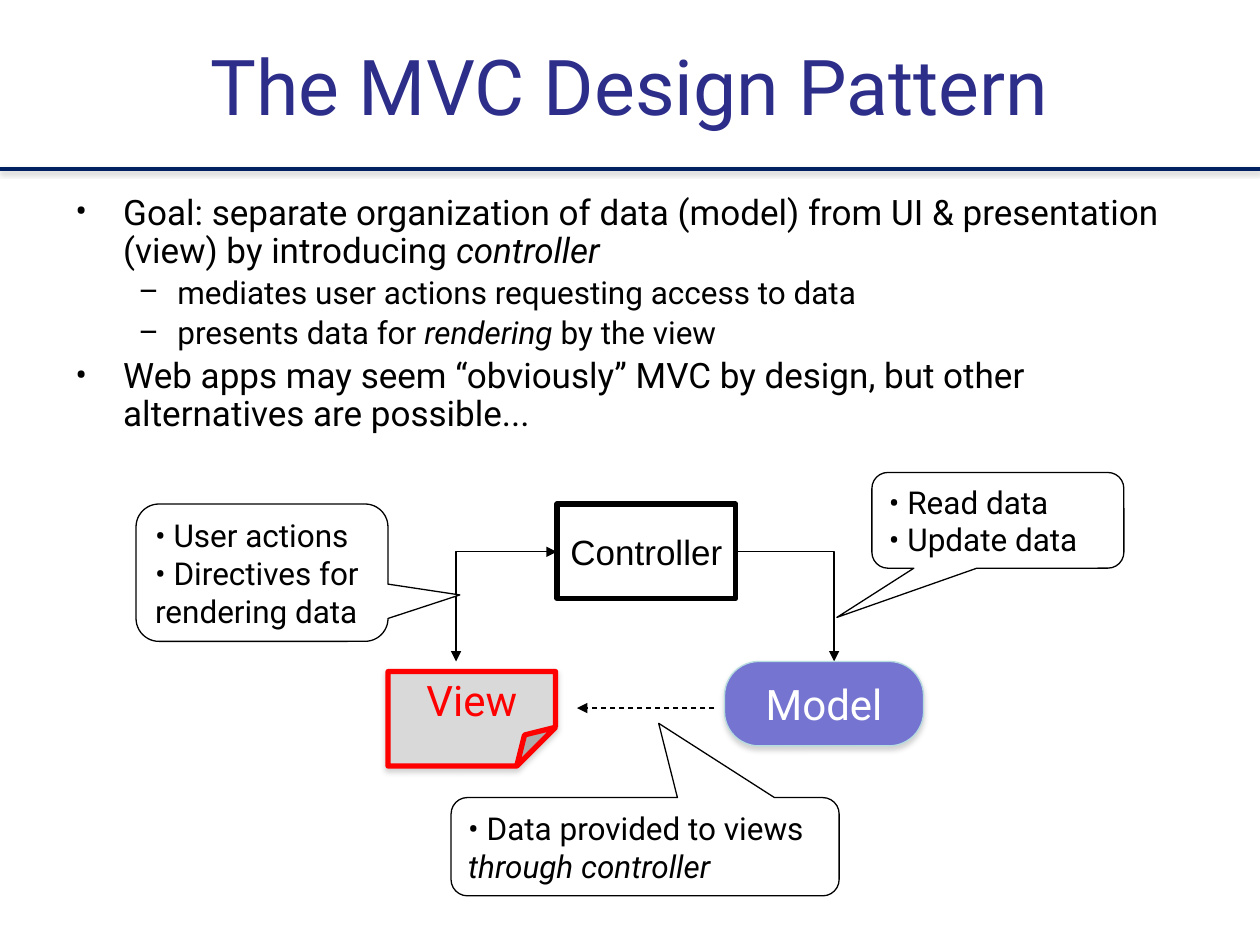
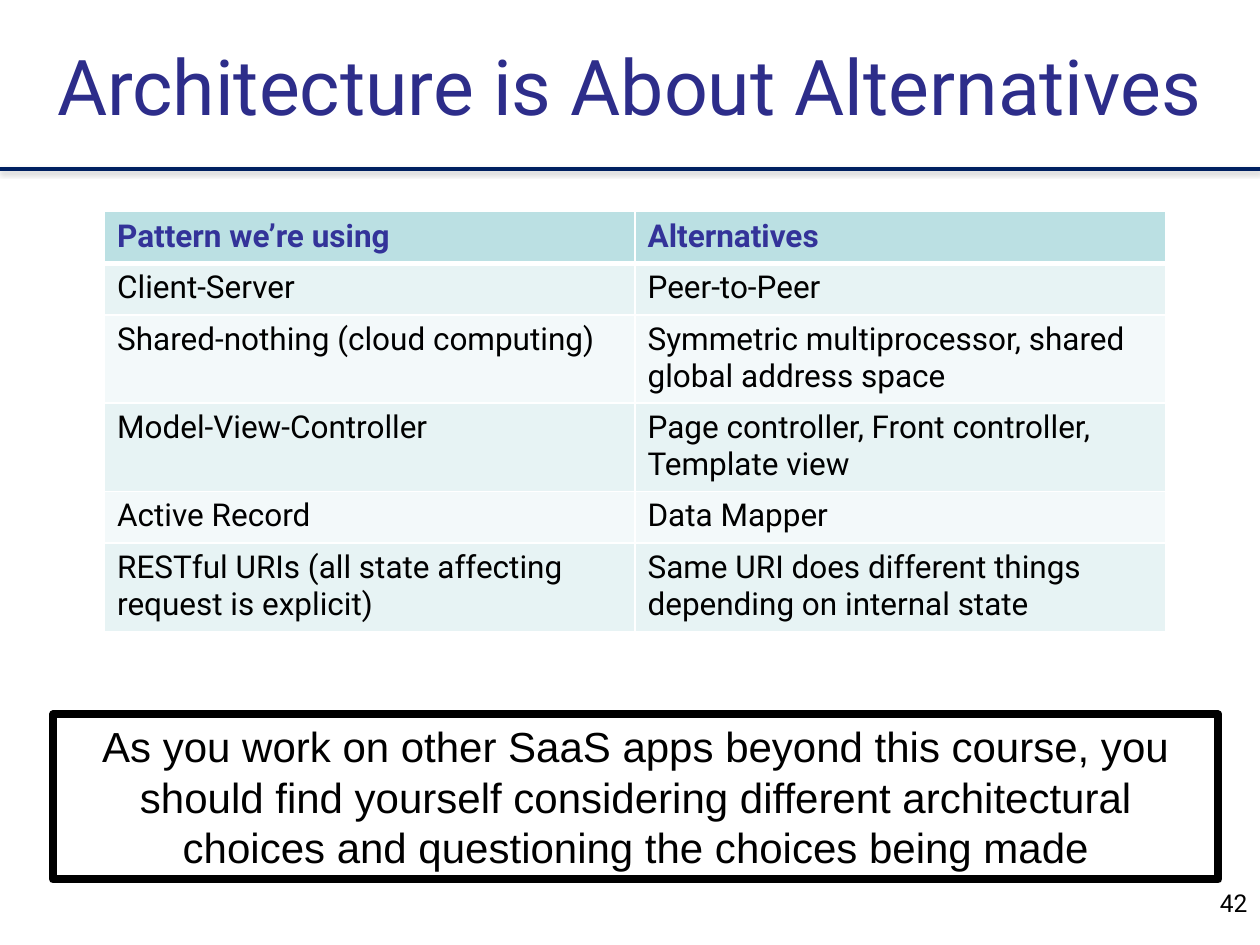
from dataclasses import dataclass

from pptx import Presentation
from pptx.dml.color import RGBColor
from pptx.enum.dml import MSO_LINE
from pptx.enum.shapes import MSO_CONNECTOR, MSO_SHAPE
from pptx.enum.text import MSO_ANCHOR, PP_ALIGN
from pptx.oxml.ns import qn
from pptx.util import Inches, Pt
from lxml import etree

LEFT, CENTER, RIGHT = PP_ALIGN.LEFT, PP_ALIGN.CENTER, PP_ALIGN.RIGHT
TOP, MIDDLE = MSO_ANCHOR.TOP, MSO_ANCHOR.MIDDLE
STRAIGHT, ELBOW = MSO_CONNECTOR.STRAIGHT, MSO_CONNECTOR.ELBOW
RECT, ROUNDED = MSO_SHAPE.RECTANGLE, MSO_SHAPE.ROUNDED_RECTANGLE
FOLDED, CALLOUT = MSO_SHAPE.FOLDED_CORNER, MSO_SHAPE.ROUNDED_RECTANGULAR_CALLOUT
DASH = MSO_LINE.DASH


@dataclass(frozen=True)
class Theme:
    font: str = "Roboto"
    box_font: str = "Arial"
    # Colours
    title: str = "2D2D8A"
    rule: str = "002061"
    black: str = "000000"
    white: str = "FFFFFF"
    red: str = "FF0000"
    note: str = "D9D9D9"
    model: str = "7575D1"
    model_edge: str = "B6DCDF"
    shadow: str = "808080"
    header_text: str = "333399"
    header_fill: str = "BBE0E3"
    bands: tuple = ("E7F3F4", "F3F9FA")
    # Type sizes
    title_size: int = 44
    large: int = 24
    medium: int = 20
    small: int = 18
    number: int = 14


def rgb(color):
    return RGBColor.from_string(color)


def add_xml(parent, tag, **attrs):
    child = etree.SubElement(parent, qn(tag))
    for name, value in attrs.items():
        child.set(name, str(value))
    return child


class Deck:
    def __init__(self, prs, theme):
        self.prs, self.theme = prs, theme
        self.slide = None

    # Slide with the shared title and rule
    def new_slide(self, title):
        t = self.theme
        self.slide = self.prs.slides.add_slide(self.prs.slide_layouts[6])
        self.line((0, 1.34), (10, 1.34), t.rule, 2, shadow=38)
        self.text((0, 0, 10, 1.34), [title], t.title_size, t.title,
                  align=CENTER, anchor=MIDDLE)

    # Text: a paragraph is a string or a list of runs; "*" starts an italic run
    def fill_paragraph(self, p, runs, size, color, align=LEFT, font=None, bold=False):
        p.alignment = align
        for text in [runs] if isinstance(runs, str) else runs:
            r = p.add_run()
            r.text = text.removeprefix("*")
            r.font.name = font or self.theme.font
            r.font.size = Pt(size)
            r.font.bold = bold
            r.font.italic = text.startswith("*")
            r.font.color.rgb = rgb(color)

    def fill_frame(self, tf, paragraphs, size, color, align=LEFT, anchor=TOP,
                   font=None, wrap=True):
        tf.word_wrap = wrap
        tf.vertical_anchor = anchor
        for i, runs in enumerate(paragraphs):
            p = tf.add_paragraph() if i else tf.paragraphs[0]
            self.fill_paragraph(p, runs, size, color, align, font)

    def text(self, box, paragraphs, size, color, **style):
        sp = self.slide.shapes.add_textbox(*map(Inches, box))
        self.fill_frame(sp.text_frame, paragraphs, size, color, **style)

    def bullets(self, box, items):
        t = self.theme
        levels = ((t.medium, 0.38, 0.38, "•"), (t.small, 0.81, 0.31, "–"))
        tf = self.slide.shapes.add_textbox(*map(Inches, box)).text_frame
        tf.word_wrap = True
        for i, (level, runs) in enumerate(items):
            size, margin, hang, mark = levels[level]
            p = tf.add_paragraph() if i else tf.paragraphs[0]
            p.level = level
            p.line_spacing = 0.9
            p.space_before = Pt(size * 0.2)
            self.fill_paragraph(p, runs, size, t.black)
            pPr = p._p.get_or_add_pPr()
            pPr.set("marL", str(Inches(margin)))
            pPr.set("indent", str(-Inches(hang)))
            add_xml(pPr, "a:buFont", typeface=t.font)
            add_xml(pPr, "a:buChar", char=mark)

    # Shapes and lines
    def effects(self, spPr, opacity, distance=1.8):
        effects = spPr.find(qn("a:effectLst"))
        if effects is None:
            effects = add_xml(spPr, "a:effectLst")
        if opacity:
            shadow = add_xml(effects, "a:outerShdw", blurRad=Pt(3.1),
                             dist=Pt(distance), dir=5400000, rotWithShape=0)
            color = add_xml(shadow, "a:srgbClr", val=self.theme.shadow)
            add_xml(color, "a:alpha", val=opacity * 1000)

    def adjust(self, spPr, values):
        avLst = spPr.find(qn("a:prstGeom")).get_or_add_avLst()
        for guide in list(avLst):
            avLst.remove(guide)
        for i, value in enumerate(values, 1):
            add_xml(avLst, "a:gd", name=f"adj{i}" if len(values) > 1 else "adj",
                    fmla=f"val {round(value * 100000)}")

    def shape(self, kind, box, paragraphs, size, color, line, width, fill=None,
              adj=(), shadow=0, **style):
        sp = self.slide.shapes.add_shape(kind, *map(Inches, box))
        spPr = sp._element.spPr
        self.adjust(spPr, adj)
        if fill:
            sp.fill.solid()
            sp.fill.fore_color.rgb = rgb(fill)
        else:
            sp.fill.background()
        sp.line.color.rgb = rgb(line)
        sp.line.width = Pt(width)
        sp.shadow.inherit = False
        self.effects(spPr, shadow)
        self.fill_frame(sp.text_frame, paragraphs, size, color, **style)

    def callout(self, box, pointer, paragraphs):
        t = self.theme
        self.shape(CALLOUT, box, paragraphs, t.small, t.black, t.black, 0.75,
                   fill=t.white, adj=(*pointer, 0.167), anchor=MIDDLE)

    def line(self, start, end, color, width, kind=STRAIGHT, dash=None, arrows=(),
             shadow=0):
        cxn = self.slide.shapes.add_connector(kind, *map(Inches, (*start, *end)))
        cxn.line.color.rgb = rgb(color)
        cxn.line.width = Pt(width)
        if dash:
            cxn.line.dash_style = dash
        spPr = cxn._element.spPr
        if kind == ELBOW:  # one corner: across, then down
            spPr.find(qn("a:prstGeom")).set("prst", "bentConnector2")
        for tag in arrows:
            add_xml(spPr.find(qn("a:ln")), tag, type="triangle")
        self.effects(spPr, shadow, 1.6)

    def arrow(self, start, end, both=False, **style):
        ends = ("a:headEnd", "a:tailEnd") if both else ("a:tailEnd",)
        self.line(start, end, self.theme.black, 0.75, arrows=ends, **style)

    # Table with a header row, bands and white rules
    def table(self, left, top, col_width, heights, rows):
        t = self.theme
        frame = self.slide.shapes.add_table(
            len(rows), len(rows[0]), Inches(left), Inches(top),
            Inches(col_width * len(rows[0])), Inches(sum(heights)))
        table = frame.table
        for col in table.columns:
            col.width = Inches(col_width)
        for i, (row, height) in enumerate(zip(rows, heights)):
            table.rows[i].height = Inches(height)
            header = i == 0
            for j, text in enumerate(row):
                cell = table.cell(i, j)
                self.borders(cell, top=3 if i == 1 else 1, bottom=3 if header else 1)
                cell.fill.solid()
                cell.fill.fore_color.rgb = rgb(
                    t.header_fill if header else t.bands[(i - 1) % 2])
                self.fill_paragraph(cell.text_frame.paragraphs[0], text, t.small,
                                    t.header_text if header else t.black, bold=header)

    def borders(self, cell, top, bottom):
        tcPr = cell._tc.get_or_add_tcPr()
        for side, width in (("L", 1), ("R", 1), ("T", top), ("B", bottom)):
            ln = add_xml(tcPr, f"a:ln{side}", w=Pt(width))
            add_xml(add_xml(ln, "a:solidFill"), "a:srgbClr", val=self.theme.white)


def mvc_slide(deck):
    t = deck.theme
    deck.new_slide("The MVC Design Pattern")
    deck.bullets((0.5, 1.5, 9, 2.5), [
        (0, ["Goal: separate organization of data (model) from UI & presentation "
             "(view) by introducing ", "*controller"]),
        (1, "mediates user actions requesting access to data"),
        (1, ["presents data for ", "*rendering", " by the view"]),
        (0, "Web apps may seem “obviously” MVC by design, but other alternatives "
            "are possible..."),
    ])

    # Controller and its links
    deck.shape(RECT, (4.42, 4, 1.42, 0.75), ["Controller"], t.medium, t.black,
               t.black, 3, align=CENTER, anchor=MIDDLE, font=t.box_font, wrap=False)
    deck.arrow((4.42, 4.38), (3.62, 5.25), both=True, kind=ELBOW)
    deck.arrow((5.83, 4.38), (6.62, 5.25), kind=ELBOW)
    deck.arrow((5.67, 5.62), (4.58, 5.62), dash=DASH)

    # Callouts
    deck.callout((1.08, 4, 2, 1.09), (0.785, 0.162),
                 ["• User actions", "• Directives for rendering data"])
    deck.callout((6.92, 3.75, 2, 0.76), (-0.639, 1.014),
                 ["• Read data", "• Update data"])
    deck.callout((3.58, 6.33, 3.08, 0.78), (0.035, -1.256),
                 [["• Data provided to views ", "*through controller"]])

    # Model and view
    deck.shape(ROUNDED, (5.75, 5.25, 1.58, 0.67), ["Model"], t.large, t.white,
               t.model_edge, 0.75, fill=t.model, adj=(0.406,), shadow=35,
               align=CENTER, anchor=MIDDLE)
    deck.shape(FOLDED, (3.08, 5.33, 1.33, 0.75), ["View"], t.large, t.red,
               t.red, 3, fill=t.note, adj=(0.411,), shadow=35,
               align=CENTER, anchor=MIDDLE)


def alternatives_slide(deck):
    t = deck.theme
    deck.new_slide("Architecture is About Alternatives")
    one, two = 0.41, 0.7  # heights of one-line and two-line rows
    deck.table(0.83, 1.68, 4.21, (one, one, two, two, one, two), [
        ("Pattern we’re using", "Alternatives"),
        ("Client-Server", "Peer-to-Peer"),
        ("Shared-nothing (cloud computing)",
         "Symmetric multiprocessor, shared global address space"),
        ("Model-View-Controller", "Page controller, Front controller, Template view"),
        ("Active Record", "Data Mapper"),
        ("RESTful URIs (all state affecting request is explicit)",
         "Same URI does different things depending on internal state"),
    ])
    deck.text((7.67, 7, 2.33, 0.5), ["42"], t.number, t.black, align=RIGHT)
    deck.shape(RECT, (0.42, 5.67, 9.25, 1.31),
               ["As you work on other SaaS apps beyond this course, you should find "
                "yourself considering different architectural choices and questioning "
                "the choices being made"],
               t.large, t.black, t.black, 4.5, align=CENTER, font=t.box_font)


def main():
    prs = Presentation()
    prs.slide_width, prs.slide_height = Inches(10), Inches(7.5)
    deck = Deck(prs, Theme())
    mvc_slide(deck)
    alternatives_slide(deck)
    prs.save("out.pptx")


if __name__ == "__main__":
    main()
